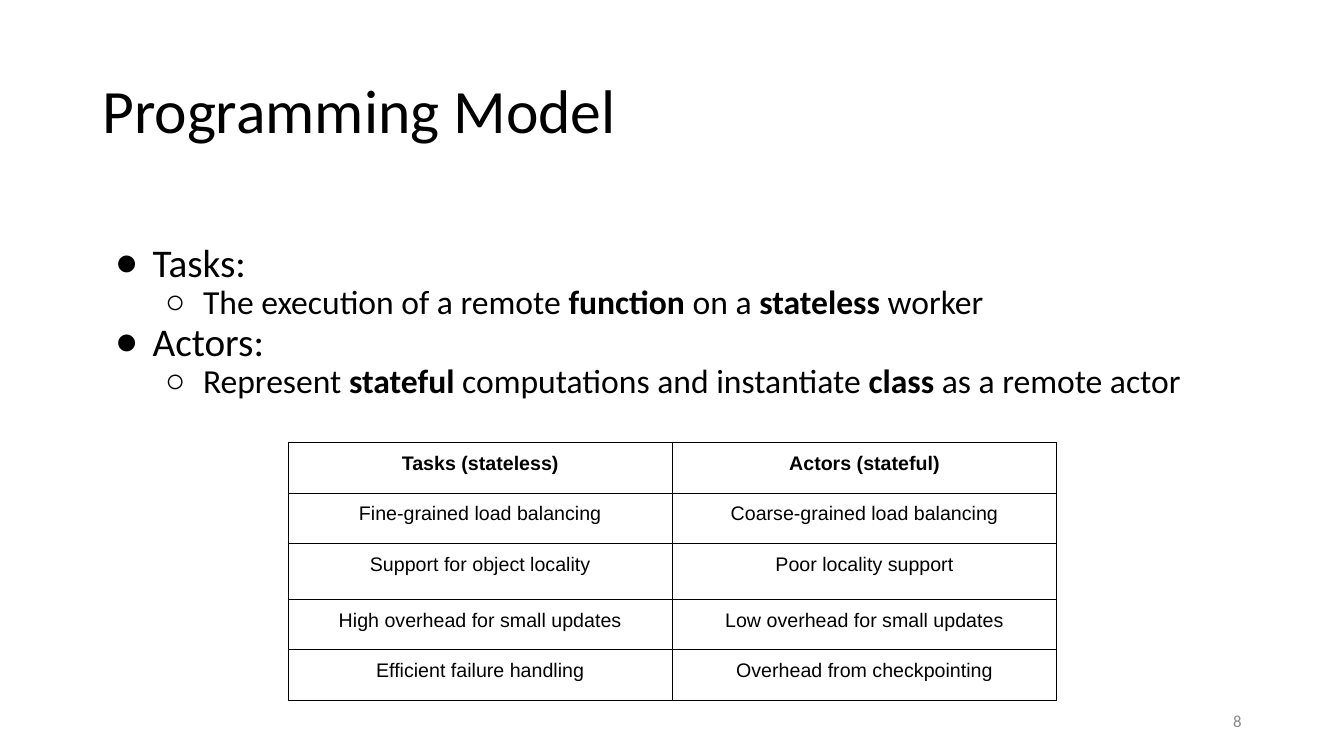
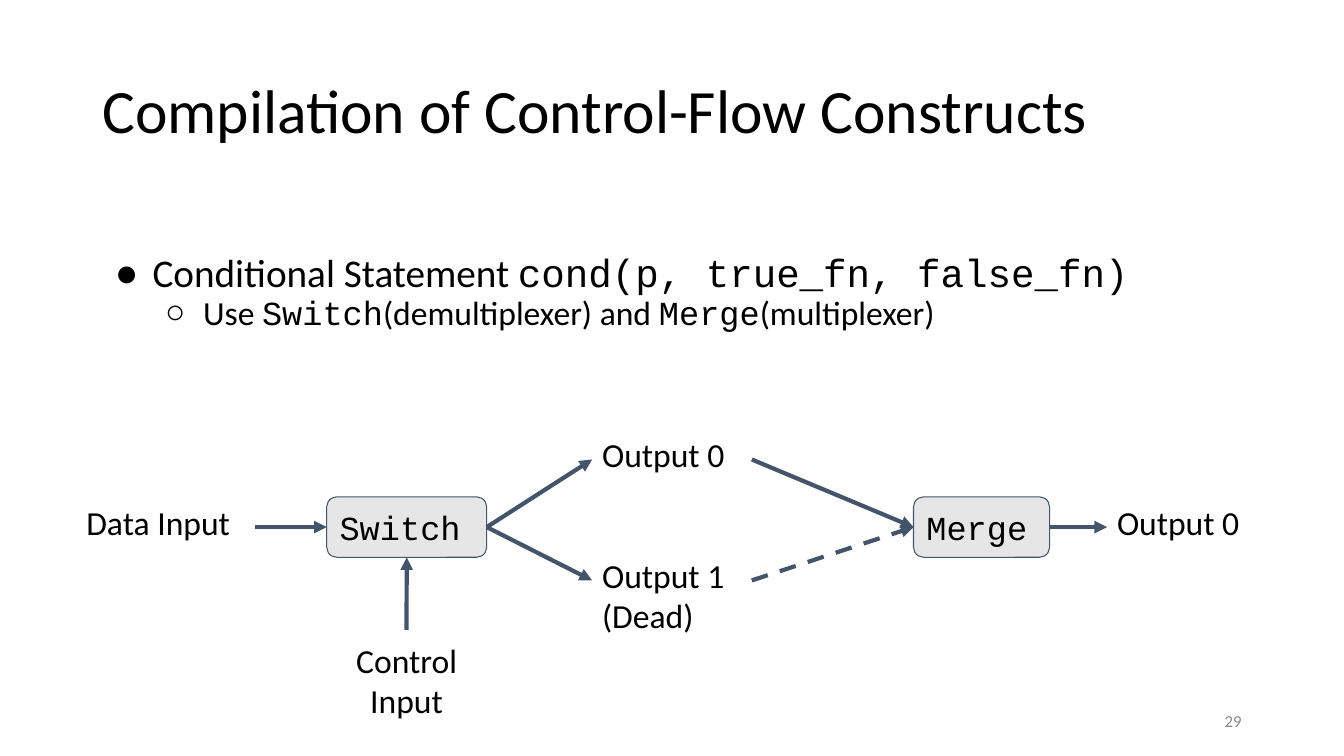
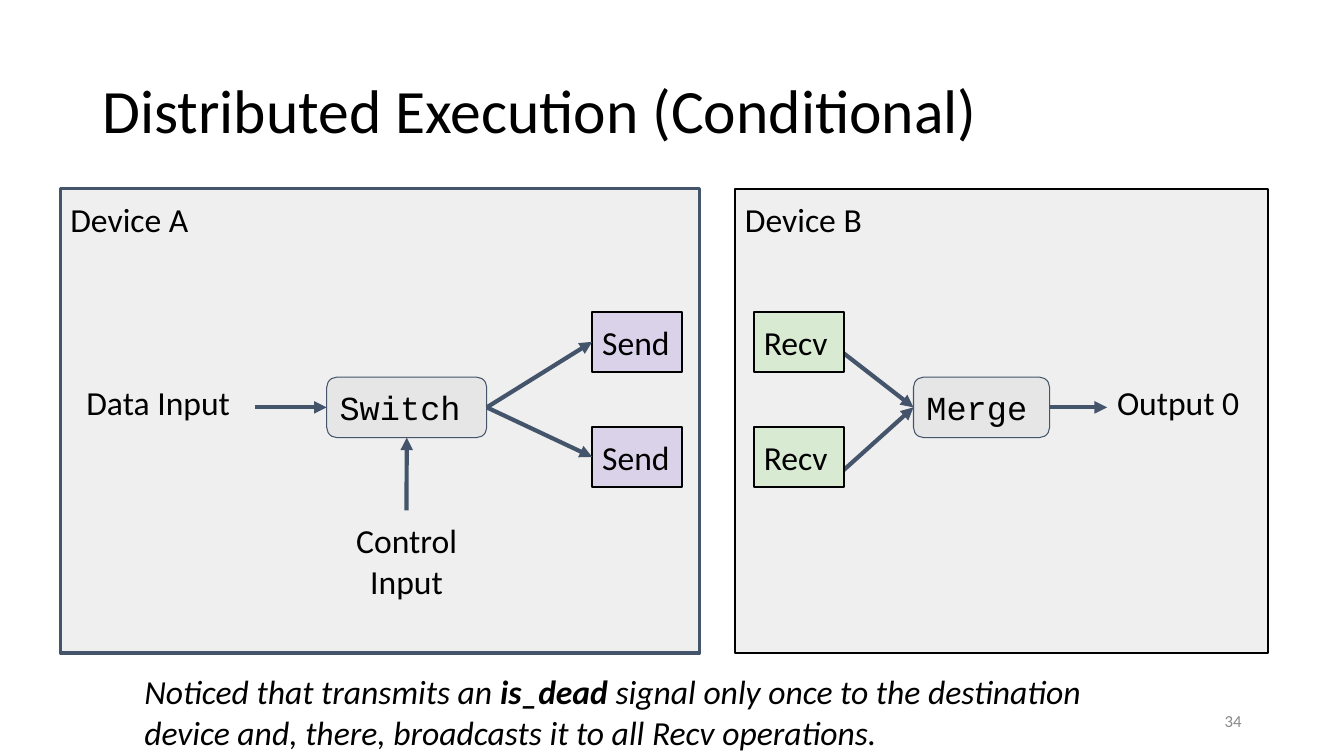
from lxml.etree import SubElement
from pptx import Presentation
from pptx.dml.color import RGBColor
from pptx.enum.dml import MSO_LINE_DASH_STYLE as DASH
from pptx.enum.shapes import MSO_CONNECTOR as CXN, MSO_SHAPE as SHAPE
from pptx.enum.text import MSO_ANCHOR as ANCHOR, PP_ALIGN as ALIGN
from pptx.oxml.ns import qn
from pptx.util import Inches, Pt

COLS, ROWS = 160, 90
CELL = Inches(7.5) / ROWS
TOP, LEFT, BOTTOM, RIGHT = range(4)
BLACK, SLATE, GREY = "000000", "44546A", "888888"
PANEL, NODE, LILAC, MINT = "EFEFEF", "E7E6E6", "D9D2E9", "D9EAD3"
BOLD = {"bold": True}
MONO = {"name": "Courier New"}
ITALIC = {"italic": True}


def grid(*cells):
    return [round(c * CELL) for c in cells]


def rgb(code):
    return RGBColor.from_string(code)


def assign(obj, values):
    for name, value in values.items():
        setattr(obj, name, value)


class Deck:
    font = {"name": "Calibri", "size": Pt(24)}
    frame = {"word_wrap": True, "vertical_anchor": ANCHOR.TOP}
    sides = ("margin_left", "margin_right", "margin_top", "margin_bottom")
    bullets = (("●", Pt(28)), ("○", Pt(24)))

    def __init__(self):
        self.prs = Presentation()
        self.prs.slide_width, self.prs.slide_height = grid(COLS, ROWS)

    def slide(self, title, number):
        self.s = self.prs.slides.add_slide(self.prs.slide_layouts[6])
        sp = self.text((11, 4.8, 138, 17.4), [title], {"size": Pt(44)},
                       anchor=ANCHOR.MIDDLE, pad=0.6)
        sp.text_frame.paragraphs[0].line_spacing = 0.9
        self.text((113, 83.4, 36, 4.8), [str(number)], {"size": Pt(12)}, GREY,
                  ALIGN.RIGHT, ANCHOR.MIDDLE, 0.6)

    def runs(self, p, parts, fmt, color=BLACK):
        for part in parts:
            words, extra = (part, {}) if isinstance(part, str) else part
            r = p.add_run()
            r.text = words
            assign(r.font, {**self.font, **fmt, **extra})
            r.font.color.rgb = rgb(color)

    def pad(self, target, pad):
        assign(target, dict(zip(self.sides, grid(1.2, 1.2, pad, pad))))

    def fill_text(self, sp, parts, fmt, color=BLACK, align=ALIGN.LEFT,
                  anchor=ANCHOR.TOP, pad=1.2):
        tf = sp.text_frame
        assign(tf, {**self.frame, "vertical_anchor": anchor})
        self.pad(tf, pad)
        p = tf.paragraphs[0]
        p.alignment = align
        self.runs(p, parts, fmt, color)
        return sp

    def text(self, box, parts, fmt={}, color=BLACK, align=ALIGN.LEFT,
             anchor=ANCHOR.TOP, pad=1.2):
        sp = self.s.shapes.add_textbox(*grid(*box))
        return self.fill_text(sp, parts, fmt, color, align, anchor, pad)

    def box(self, box, words, fill, line=BLACK, width=1.5, kind=SHAPE.RECTANGLE,
            fmt={}, anchor=ANCHOR.TOP):
        sp = self.s.shapes.add_shape(kind, *grid(*box))
        sp.shadow.inherit = False
        sp.fill.solid()
        sp.fill.fore_color.rgb = rgb(fill)
        sp.line.color.rgb = rgb(line)
        sp.line.width = Pt(width)
        return self.fill_text(sp, [words], fmt, anchor=anchor)

    def node(self, x, mid, w, words):
        return self.box((x, mid - 3.6, w, 7.2), words, NODE, SLATE, 0.75,
                        SHAPE.ROUNDED_RECTANGLE, MONO, ANCHOR.MIDDLE)

    def label(self, x, mid, w, words):
        return self.text((x, mid - 4.25, w, 8.5), [words])

    def arrow(self, start, end, end_side=LEFT, side=RIGHT, dash=None):
        joined = not isinstance(start, tuple)
        begin = (0, 0) if joined else start
        c = self.s.shapes.add_connector(CXN.STRAIGHT, *grid(*begin, 0, 0))
        if joined:
            c.begin_connect(start, side)
        c.end_connect(end, end_side)
        c.line.color.rgb = rgb(SLATE)
        c.line.width = Pt(3)
        if dash:
            c.line.dash_style = dash
        spPr = c._element.spPr
        SubElement(spPr.find(qn("a:ln")), qn("a:tailEnd"), type="triangle")
        SubElement(spPr, qn("a:effectLst"))

    def body(self, height, items):
        sp = self.s.shapes.add_textbox(*grid(11, 24, 138, height))
        tf = sp.text_frame
        assign(tf, {**self.frame, "vertical_anchor": ANCHOR.MIDDLE})
        self.pad(tf, 0.6)
        for i, (level, parts) in enumerate(items):
            p = tf.add_paragraph() if i else tf.paragraphs[0]
            char, size = self.bullets[level]
            margin, indent = grid(6 * (level + 1), -4.5)
            pPr = p._p.get_or_add_pPr()
            pPr.set("marL", str(margin))
            pPr.set("indent", str(indent))
            SubElement(SubElement(pPr, qn("a:buClr")), qn("a:srgbClr"), val=BLACK)
            SubElement(pPr, qn("a:buFont"), typeface="Arial")
            SubElement(pPr, qn("a:buChar"), char=char)
            p.level = level
            p.line_spacing = 0.9
            self.runs(p, parts, {"size": size})

    def table(self, x, y, col, heights, rows):
        size = len(rows), len(rows[0])
        box = grid(x, y, col * size[1], sum(heights))
        tbl = self.s.shapes.add_table(*size, *box).table
        assign(tbl, {"first_row": False, "horz_banding": False})
        for column in tbl.columns:
            column.width, = grid(col)
        for i, (height, row) in enumerate(zip(heights, rows)):
            tbl.rows[i].height, = grid(height)
            for j, words in enumerate(row):
                cell = tbl.cell(i, j)
                self.pad(cell, 1.2)
                p = cell.text_frame.paragraphs[0]
                p.alignment = ALIGN.CENTER
                self.runs(p, [words], {"name": "Arial", "size": Pt(14), "bold": i == 0})
                self.borders(cell)
                cell.fill.background()

    def borders(self, cell):
        tcPr = cell._tc.get_or_add_tcPr()
        for edge in "LRTB":
            ln = SubElement(tcPr, qn("a:ln" + edge), w=str(Pt(0.75)))
            SubElement(SubElement(ln, qn("a:solidFill")), qn("a:srgbClr"), val=BLACK)

    def flow(self, mid):
        switch = self.node(38.9, mid, 19.05, "Switch")
        merge = self.node(108.75, mid, 16.2, "Merge")
        data = self.label(9.1, mid, 21.3, "Data Input")
        control = self.text((40.3, mid + 12.25, 16.2, 11.8), ["Control Input"],
                            align=ALIGN.CENTER)
        output = self.label(131.8, mid, 19, "Output 0")
        self.arrow(data, switch)
        self.arrow(control, switch, BOTTOM, TOP)
        self.arrow(merge, output)
        return switch, merge


def main():
    deck = Deck()

    deck.slide("Programming Model", 8)
    deck.body(28.7, [
        (0, ["Tasks:"]),
        (1, ["The execution of a remote ", ("function ", BOLD), "on a ",
             ("stateless ", BOLD), "worker"]),
        (0, ["Actors:"]),
        (1, ["Represent ", ("stateful ", BOLD), "computations and instantiate ",
             ("class ", BOLD), "as a remote actor"]),
    ])
    deck.table(34.3, 52.7, 45.75, (6, 6, 6.65, 6, 6), [
        ("Tasks (stateless)", "Actors (stateful)"),
        ("Fine-grained load balancing", "Coarse-grained load balancing"),
        ("Support for object locality", "Poor locality support"),
        ("High overhead for small updates", "Low overhead for small updates"),
        ("Efficient failure handling", "Overhead from checkpointing"),
    ])

    deck.slide("Compilation of Control-Flow Constructs", 29)
    deck.body(21.8, [
        (0, ["Conditional Statement ", ("cond(p, true_fn, false_fn)", MONO)]),
        (1, ["Use ", ("Switch", MONO), "(demultiplexer) and ", ("Merge", MONO),
             "(multiplexer)"]),
    ])
    switch, merge = deck.flow(62.75)
    for mid, words, dash in ((54.7, "Output 0", None),
                             (69.1, "Output 1 (Dead)", DASH.DASH)):
        output = deck.label(70.5, mid, 19, words)
        deck.arrow(switch, output)
        deck.arrow(output, merge, dash=dash)

    deck.slide("Distributed Execution (Conditional)", 34)
    deck.box((87.5, 22.45, 63.5, 55.3), "Device B", PANEL)
    deck.box((7.2, 22.45, 76.1, 55.3), "Device A", PANEL, SLATE, 2.25)
    switch, merge = deck.flow(48.5)
    for y, start in ((37.1, (99.6, 41.4)), (50.8, (100.4, 56))):
        send = deck.box((70.5, y, 10.7, 7.2), "Send", LILAC)
        deck.arrow(switch, send)
        deck.arrow(start, merge)
        deck.box((89.75, y, 10.7, 7.2), "Recv", MINT)
    deck.text((16, 78.7, 122.5, 11.3), [
        "Noticed that transmits an ", ("is_dead", BOLD),
        " signal only once to the destination device and, there, "
        "broadcasts it to all Recv operations."], ITALIC)

    deck.prs.save("out.pptx")


if __name__ == "__main__":
    main()
